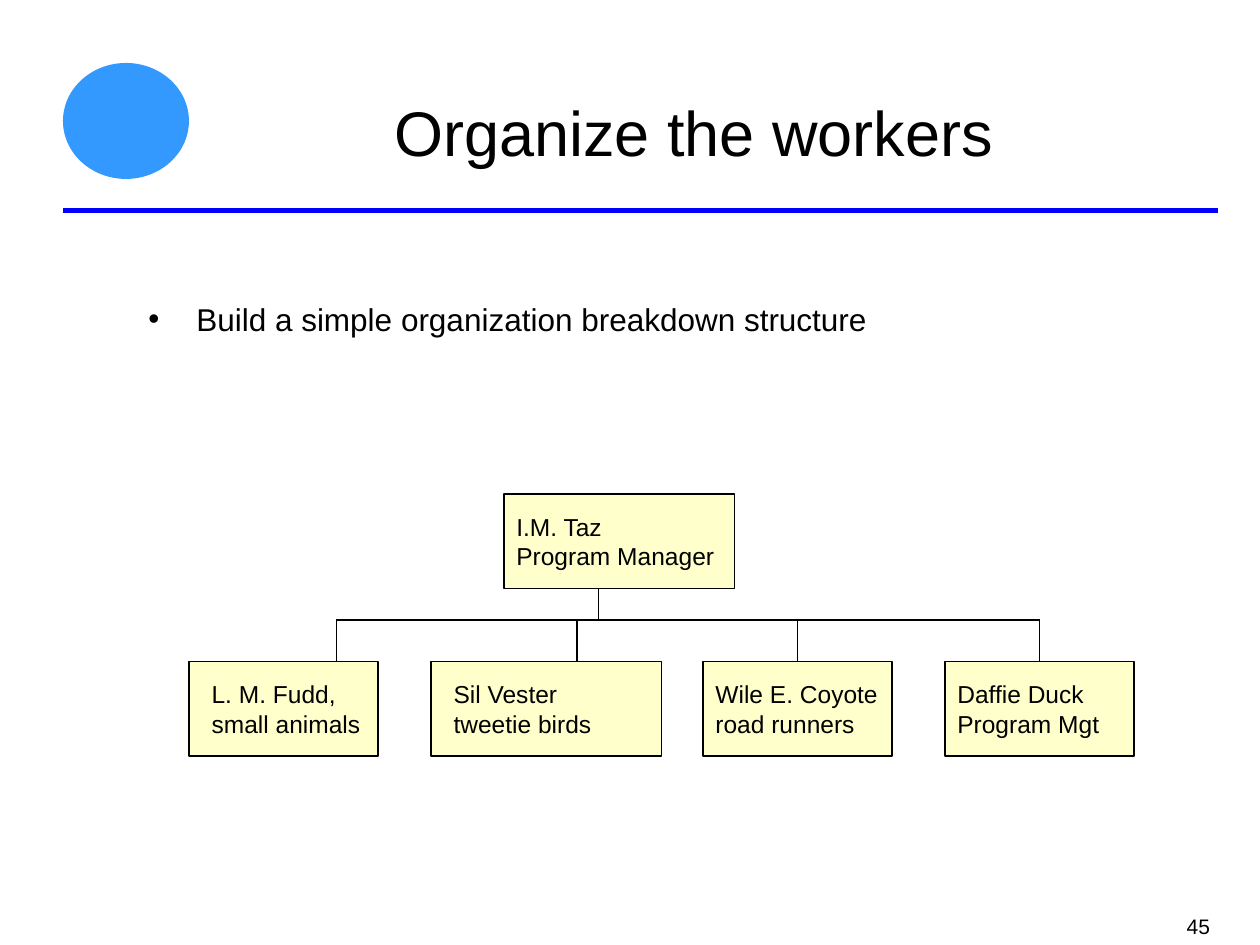
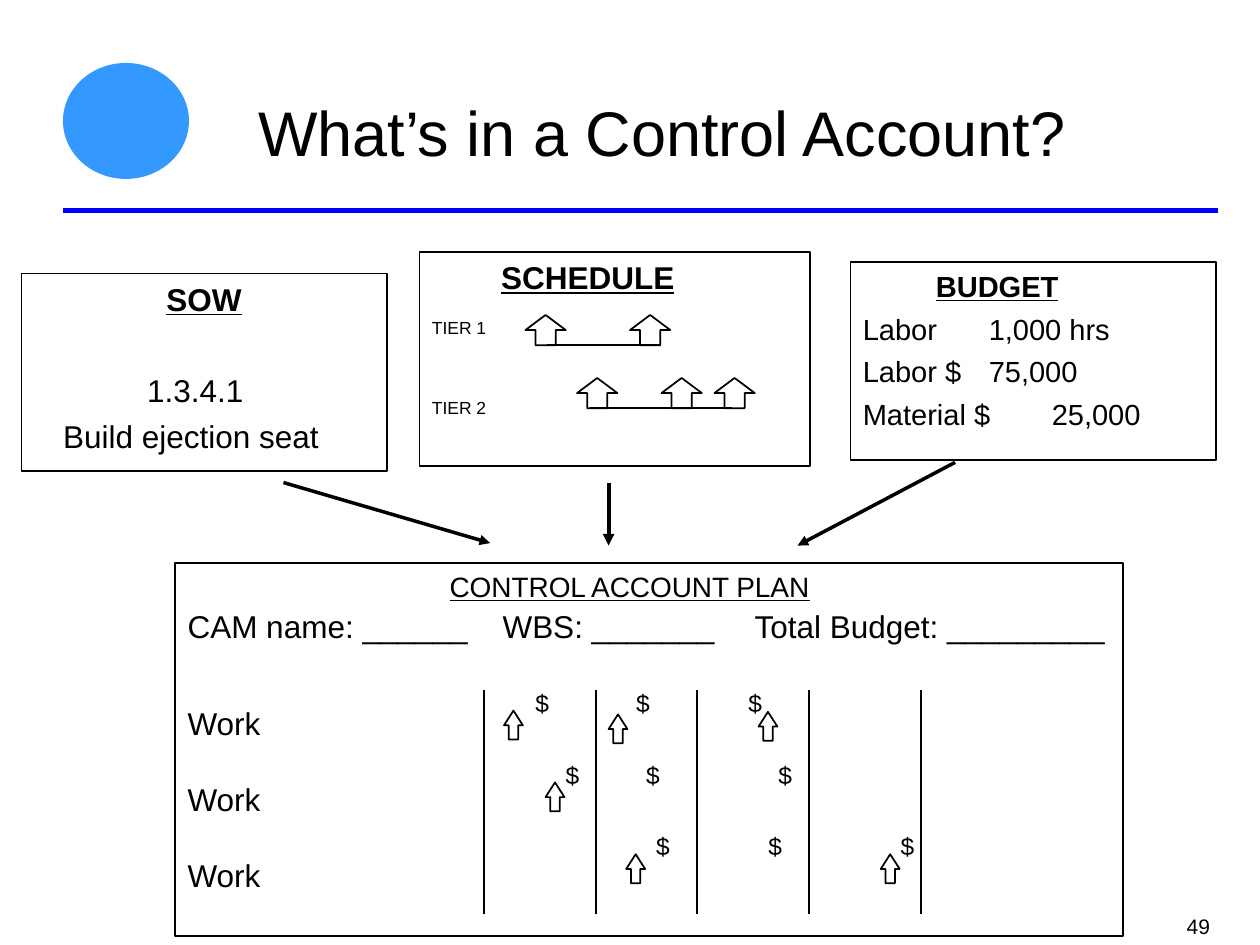
from lxml import etree
from pptx import Presentation
from pptx import util as u
from pptx.dml.color import RGBColor
from pptx.enum import shapes, text
from pptx.oxml.ns import qn

BLACK, BLUE, CREAM, MARK = "000000", "0000FF", "FFFFCC", "3399FF"
FONT = "Arial"
LEFT, CENTER = text.PP_ALIGN.LEFT, text.PP_ALIGN.CENTER
TOP, MIDDLE = text.MSO_ANCHOR.TOP, text.MSO_ANCHOR.MIDDLE
RECT = shapes.MSO_SHAPE.RECTANGLE
colour = RGBColor.from_string


def put_box(page, at, paras=(), size=18, kind=None, fill=None, line=BLACK, anchor=TOP):
    """Add a shape, or a text box if kind is None; paras holds (words, options) pairs."""
    at = [u.Inches(n) for n in at]
    if kind is None:
        box = page.shapes.add_textbox(*at)
    else:
        box = page.shapes.add_shape(kind, *at)
        box.shadow.inherit = False
        if fill:
            box.fill.solid()
            box.fill.fore_color.rgb = colour(fill)
        else:
            box.fill.background()
        if line:
            box.line.color.rgb = colour(line)
            box.line.width = u.Pt(1)
        else:
            box.line.fill.background()
    frame = box.text_frame
    frame.word_wrap = True
    frame.vertical_anchor = anchor
    for index, (words, options) in enumerate(paras):
        para = frame.add_paragraph() if index else frame.paragraphs[0]
        para.alignment = options.get("align", LEFT)
        para.line_spacing = 1.0
        if index:
            para.space_before = u.Pt(options.get("before", 0))
        props = para._p.get_or_add_pPr()
        props.set("marL", str(u.Inches(options.get("indent", 0))))
        props.set("marR", str(u.Inches(options.get("right", 0))))
        props.set("indent", str(u.Inches(options.get("hanging", 0))))
        if "bullet" in options:
            etree.SubElement(props, qn("a:buFont")).set("typeface", FONT)
            etree.SubElement(props, qn("a:buChar")).set("char", options["bullet"])
        if "tabs" in options:
            tabs = etree.SubElement(props, qn("a:tabLst"))
            for stop in options["tabs"]:
                tab = etree.SubElement(tabs, qn("a:tab"))
                tab.set("pos", str(u.Inches(stop)))
                tab.set("algn", "l")
        span = para.add_run()
        span.text = words
        span.font.name = FONT
        span.font.size = u.Pt(options.get("size", size))
        span.font.bold = options.get("bold", False)
        span.font.underline = options.get("underline", False)
        span.font.color.rgb = colour(BLACK)
    return box


def put_line(page, start, end, width=1, ink=BLACK, arrow=False):
    line = page.shapes.add_connector(
        shapes.MSO_CONNECTOR.STRAIGHT, *[u.Inches(n) for n in (*start, *end)])
    line.line.color.rgb = colour(ink)
    line.line.width = u.Pt(width)
    if arrow:
        etree.SubElement(line.line._get_or_add_ln(), qn("a:tailEnd")).set("type", "triangle")
    etree.SubElement(line._element.spPr, qn("a:effectLst"))
    return line


deck = Presentation()
deck.slide_width, deck.slide_height = u.Inches(10), u.Inches(7.5)

# Title, rule, emblem and page number on each slide
pages = []
for title, title_left, number in [
    ("Organize the workers", 1.92, "45"),
    ("What’s in a Control Account?", 1.67, "49"),
]:
    page = deck.slides.add_slide(deck.slide_layouts[6])
    put_box(page, (0.5, 0.5, 1, 0.92), kind=shapes.MSO_SHAPE.OVAL, fill=MARK, line=None)
    put_line(page, (0.5, 1.67), (9.67, 1.67), 3, BLUE)
    put_box(page, (9.32, 7.2, 0.6, 0.3), [(number, {})], 12)
    put_box(page, (title_left, 0.42, 7.17, 1.25), [(title, {"align": CENTER})], 36,
            anchor=MIDDLE)
    pages.append(page)
org_page, account_page = pages

# Organization chart
put_box(org_page, (1.08, 2.33, 8.5, 4.5), [
    ("Build a simple organization breakdown structure",
     {"bullet": "•", "indent": 0.38, "hanging": -0.38})])

bus_y, team_y, box_height = 4.92, 5.25, 0.75
staff = [  # left, top, width, text inset, drop line x, name, role
    (4, 3.92, 1.83, 0.1, None, "I.M. Taz", "Program Manager"),
    (1.5, team_y, 1.5, 0.18, 2.67, "L. M. Fudd,", "small animals"),
    (3.42, team_y, 1.83, 0.18, 4.58, "Sil Vester", "tweetie birds"),
    (5.58, team_y, 1.5, 0.1, 6.33, "Wile E. Coyote", "road runners"),
    (7.5, team_y, 1.5, 0.1, 8.25, "Daffie Duck", "Program Mgt"),
]
for left, top, width, inset, drop_x, name, role in staff:
    box = put_box(org_page, (left, top, width, box_height), [(name, {}), (role, {})], 14,
                  RECT, CREAM, anchor=MIDDLE)
    box.text_frame.margin_left = u.Inches(inset)
    box.text_frame.margin_right = 0
    if drop_x:
        drop = put_line(org_page, (drop_x, bus_y), (drop_x, team_y))
        if abs(left + width / 2 - drop_x) < 0.01:
            drop.end_connect(box, 0)
put_line(org_page, (4.75, 4.67), (4.75, bus_y))
put_line(org_page, (2.67, bus_y), (8.25, bus_y))

# Three inputs of the control account
heading = {"bold": True, "underline": True}
put_box(account_page, (0.17, 2.17, 2.9, 1.57), [
    ("SOW", {**heading, "align": CENTER}),
    ("1.3.4.1", {"align": CENTER, "before": 30.7, "right": 0.14}),
    ("Build ejection seat", {"align": CENTER, "before": 4.5, "right": 0.21}),
], kind=RECT)
put_box(account_page, (3.33, 2, 3.1, 1.7), [
    ("SCHEDULE", {**heading, "indent": 0.55}),
    ("TIER 1", {"size": 10, "before": 12}),
    ("TIER 2", {"size": 10, "before": 33.7}),
], kind=RECT)
put_box(account_page, (6.75, 2.08, 2.9, 1.57), [
    ("BUDGET", {**heading, "indent": 0.58}),
    ("Labor\t1,000 hrs", {"before": 4.5, "tabs": [1.69]}),
    ("Labor $\t75,000", {"before": 4.5, "tabs": [1.23]}),
    ("Material $\t25,000", {"before": 4.5, "tabs": [1.21]}),
], 16.6, RECT)

for top, lefts, bar_start, bar_end in [
    (2.5, (4.17, 5), 4.34, 5.23),
    (3, (4.58, 5.25, 5.67), 4.68, 5.81),
]:
    for left in lefts:
        put_box(account_page, (left, top, 0.32, 0.24), kind=shapes.MSO_SHAPE.UP_ARROW)
    put_line(account_page, (bar_start, top + 0.24), (bar_end, top + 0.24))

for start, end, width in [
    ((2.25, 3.83), (3.89, 4.31), 2),
    ((4.83, 3.83), (4.83, 4.33), 2.25),
    ((7.58, 3.67), (6.33, 4.33), 2),
]:
    put_line(account_page, start, end, width, arrow=True)

# Control account plan
put_box(account_page, (1.39, 4.47, 7.52, 2.96), [
    ("CONTROL ACCOUNT PLAN", {"size": 16, "underline": True, "indent": 2.08}),
    ("CAM name: ______\tWBS: _______\tTotal Budget: _________",
     {"before": 2.4, "tabs": [2.5, 4.33]}),
    ("Work", {"before": 33.8}),
    ("Work", {"before": 21.7}),
    ("Work", {"before": 21.7}),
], kind=RECT)
for x in (3.84, 4.73, 5.53, 6.42, 7.31):
    put_line(account_page, (x, 5.48), (x, 7.25))
for left, top in [(4, 5.64), (4.83, 5.67), (6.02, 5.65), (4.33, 6.21), (4.97, 6.78),
                  (6.99, 6.78)]:
    milestone = put_box(account_page, (left, top, 0.15, 0.23),
                        kind=shapes.MSO_SHAPE.UP_ARROW)
    milestone.adjustments[1] = 0.78
for row, lefts in enumerate([(4.15, 4.95, 5.84), (4.39, 5.03, 6.08), (5.11, 6, 7.05)]):
    for left in lefts:
        put_box(account_page, (left, 5.41 + 0.57 * row, 0.31, 0.33), [("$", {})], 14)

deck.save("out.pptx")
